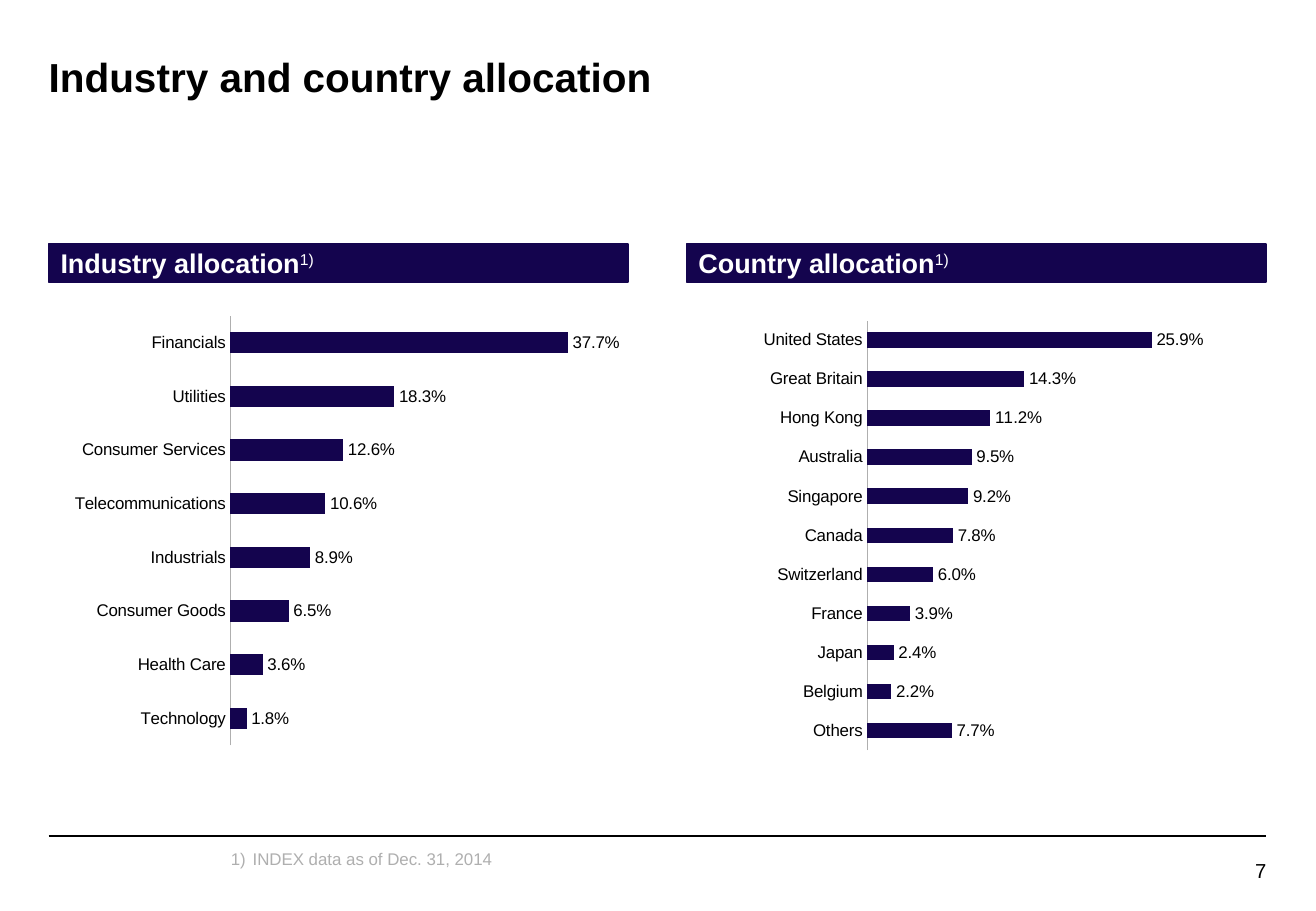
import pptx
import pptx.chart.data
import pptx.dml.color
import pptx.enum.chart
import pptx.enum.shapes
import pptx.enum.text
import pptx.oxml
import pptx.oxml.ns
import pptx.util
from lxml import etree

Inches = pptx.util.Inches
Pt = pptx.util.Pt
RGBColor = pptx.dml.color.RGBColor
qn = pptx.oxml.ns.qn
Align = pptx.enum.text.PP_ALIGN

NAVY = RGBColor(0x14, 0x04, 0x4E)
BLACK = RGBColor(0, 0, 0)
WHITE = RGBColor(0xFF, 0xFF, 0xFF)
GREY = RGBColor(0xAF, 0xAF, 0xAF)

LEFT, RIGHT = 0.4, 10.42
PANEL_WIDTH = 4.77

# Smallest first: bar charts draw their categories from the bottom up
INDUSTRIES = {
    "Technology": 0.018, "Health Care": 0.036, "Consumer Goods": 0.065,
    "Industrials": 0.089, "Telecommunications": 0.106,
    "Consumer Services": 0.126, "Utilities": 0.183, "Financials": 0.377,
}
COUNTRIES = {
    "Others": 0.077, "Belgium": 0.022, "Japan": 0.024, "France": 0.039,
    "Switzerland": 0.06, "Canada": 0.078, "Singapore": 0.092,
    "Australia": 0.095, "Hong Kong": 0.112, "Great Britain": 0.143,
    "United States": 0.259,
}


class AllocationSlide:
    font_name = "Arial"
    plot_area = {"x": 0.347, "y": 0.05, "w": 0.548, "h": 0.842}

    def __init__(self, deck):
        self.slide = deck.slides.add_slide(deck.slide_layouts[6])
        self.shapes = self.slide.shapes

    def style(self, font, size, color, bold=None):
        font.name, font.size, font.bold = self.font_name, Pt(size), bold
        font.color.rgb = color

    def frame(self, shape, wrap=True, left_inset=0):
        frame = shape.text_frame
        frame.margin_left = Inches(left_inset)
        frame.margin_top = frame.margin_right = frame.margin_bottom = 0
        frame.word_wrap = wrap
        return frame

    def text(self, box, words, size, color, bold=None, align=Align.LEFT,
             spacing=None, numbered=False):
        holder = self.shapes.add_textbox(*map(Inches, box))
        paragraph = self.frame(holder).paragraphs[0]
        paragraph.text = words
        paragraph.alignment = align
        paragraph.line_spacing = spacing
        if numbered:
            properties = paragraph._p.get_or_add_pPr()
            properties.set("marL", str(Inches(0.18)))
            properties.set("indent", str(-Inches(0.18)))
            etree.SubElement(properties, qn("a:buAutoNum"), type="arabicParenR")
        self.style(paragraph.font, size, color, bold)

    def rule(self, y):
        rule = self.shapes.add_connector(
            pptx.enum.shapes.MSO_CONNECTOR.STRAIGHT,
            Inches(LEFT), Inches(y), Inches(RIGHT), Inches(y))
        rule.line.color.rgb = BLACK
        rule.line.width = Pt(1)
        etree.SubElement(rule._element.spPr, qn("a:effectLst"))

    def heading(self, left, words, note_mark):
        bar = self.shapes.add_shape(
            pptx.enum.shapes.MSO_SHAPE.RECTANGLE,
            Inches(left), Inches(2.01), Inches(PANEL_WIDTH), Inches(0.31))
        bar.shadow.inherit = False
        bar.fill.solid()
        bar.fill.fore_color.rgb = bar.line.color.rgb = NAVY
        bar.line.width = Pt(1)
        frame = self.frame(bar, wrap=False, left_inset=0.1)
        frame.vertical_anchor = pptx.enum.text.MSO_ANCHOR.MIDDLE
        paragraph = frame.paragraphs[0]
        paragraph.alignment = Align.LEFT
        self.style(paragraph.font, 16, WHITE)
        title = paragraph.add_run()
        title.text = words
        title.font.bold = True
        mark = paragraph.add_run()
        mark.text = note_mark
        mark.font.bold = False
        mark.font._element.set("baseline", "30000")

    def bars(self, box, shares, maximum):
        data = pptx.chart.data.CategoryChartData(number_format="0.0%")
        data.categories = list(shares)
        data.add_series("Series 1", list(shares.values()))
        chart = self.shapes.add_chart(
            pptx.enum.chart.XL_CHART_TYPE.BAR_CLUSTERED,
            *map(Inches, box), data).chart
        chart.has_legend = chart.has_title = False
        self.style(chart.font, 10, BLACK)

        names = chart.category_axis
        names.major_tick_mark = pptx.enum.chart.XL_TICK_MARK.NONE
        names.format.line.color.rgb = GREY
        names.format.line.width = Pt(0.5)
        scale = chart.value_axis
        scale.minimum_scale, scale.maximum_scale = 0, maximum
        scale.has_major_gridlines = False
        scale.visible = False

        plot = chart.plots[0]
        plot.gap_width = 150
        plot.vary_by_categories = False
        fill = plot.series[0].format.fill
        fill.solid()
        fill.fore_color.rgb = NAVY
        plot.has_data_labels = True
        labels = plot.data_labels
        labels.show_value = True
        labels.position = pptx.enum.chart.XL_LABEL_POSITION.OUTSIDE_END
        labels.number_format = "0.0%"
        labels.number_format_is_linked = False
        self.style(labels.font, 10, BLACK)
        self.place_plot(chart)

    def place_plot(self, chart):
        area = chart._chartSpace.chart.plotArea
        for layout in area.findall(qn("c:layout")):
            area.remove(layout)
        layout = etree.Element(qn("c:layout"))
        area.insert(0, layout)
        manual = etree.SubElement(layout, qn("c:manualLayout"))
        settings = {"layoutTarget": "inner", "xMode": "edge", "yMode": "edge",
                    **self.plot_area}
        for tag, value in settings.items():
            etree.SubElement(manual, qn(f"c:{tag}"), val=str(value))


def main():
    deck = pptx.Presentation()
    deck.slide_width, deck.slide_height = Inches(10.83), Inches(7.5)
    page = AllocationSlide(deck)

    # Title
    page.text((LEFT, 0.43, RIGHT - LEFT, 0.85),
              "Industry and country allocation", 24, BLACK, bold=True)

    # Panels
    page.heading(LEFT, "Industry allocation", "1)")
    page.heading(RIGHT - PANEL_WIDTH, "Country allocation", "1)")
    page.bars((0.03, 2.39, 5.38, 4.2), INDUSTRIES, 0.4)
    page.bars((5.42, 2.43, 4.95, 4.2), COUNTRIES, 0.3)

    # Footer
    page.rule(6.88)
    page.text((1.9, 7, 8.4, 0.16), "INDEX data as of Dec. 31, 2014", 10, GREY,
              spacing=0.95, numbered=True)
    page.text((9.53, 7.08, 0.89, 0.19), "7", 12, BLACK,
              align=Align.RIGHT, spacing=0.95)

    deck.save("out.pptx")


if __name__ == "__main__":
    main()
